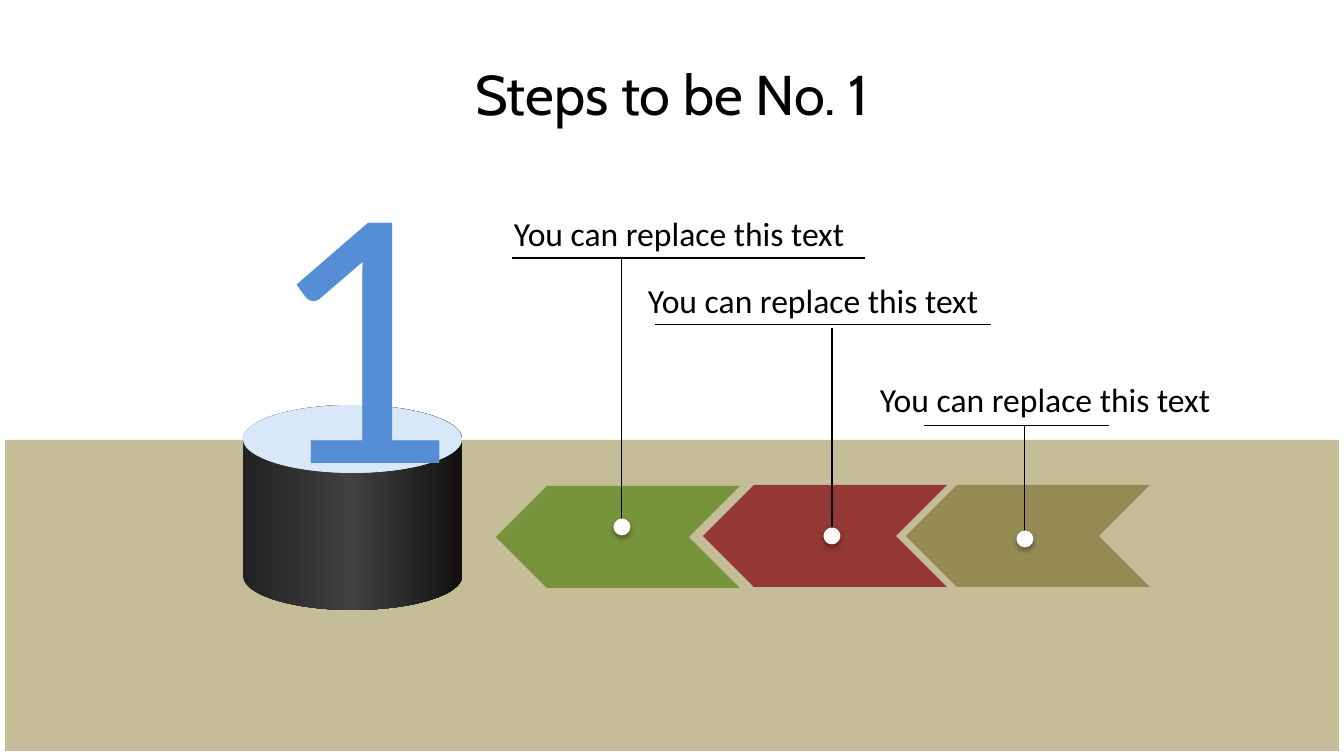
import copy
import pptx
import pptx.util
import pptx.dml.color
import pptx.enum.shapes
import pptx.enum.text
import pptx.oxml
import pptx.oxml.ns

# Content, lengths in px
WIDTH, HEIGHT = 1344, 756
COLORS = {
    "floor": "C4BD97", "khaki": "948A54", "red": "953735", "green": "77933C",
    "digit": "558ED5", "top": "D9E8F8", "black": "000000", "white": "FFFFFF",
}
TITLE = "Steps to be No. 1"
DIGIT = "1"
DRUM = (243, 405, 219, 205)
DRUM_TOP_HEIGHT = 68
DRUM_SHADES = [(0, "222222"), (0.5, "404040"), (1, "111111")]
ARROW_SIZE = (244, 102)
ARROWS = [(906, 485, "khaki"), (703, 485, "red"), (496, 486, "green")]
DOT = 17
STEPS = [
    {"text": "You can replace this text", "box": (504, 208, 361, 50),
     "rule": (512, 865, 258), "stem": (622, 258, 527)},
    {"text": "You can replace this text", "box": (638, 275, 353, 50),
     "rule": (655, 991, 325), "stem": (832, 328, 536)},
    {"text": "You can replace this text", "box": (870, 374, 367, 50),
     "rule": (924, 1109, 426), "stem": (1025, 426, 539)},
]
DOT_SHADOW = (
    '<a:effectLst %s><a:outerShdw blurRad="44450" dist="27940" dir="5400000">'
    '<a:srgbClr val="000000"><a:alpha val="32000"/></a:srgbClr>'
    '</a:outerShdw></a:effectLst>' % pptx.oxml.ns.nsdecls("a"))
NO_EFFECT = "<a:effectLst %s/>" % pptx.oxml.ns.nsdecls("a")

SHAPES = pptx.enum.shapes.MSO_SHAPE
ALIGN = pptx.enum.text.PP_ALIGN
ANCHOR = pptx.enum.text.MSO_ANCHOR


def px(*lengths):
    return [round(length * 914400 / 100.8) for length in lengths]


def rgb(value):
    return pptx.dml.color.RGBColor.from_string(value)


def add_shape(page, kind, area, color):
    shape = page.shapes.add_shape(kind, *px(*area))
    shape.shadow.inherit = False
    shape.fill.solid()
    shape.fill.fore_color.rgb = rgb(COLORS[color])
    shape.line.fill.background()
    return shape


def add_text(page, text, area, font, size, color="black", align=ALIGN.LEFT,
             anchor=ANCHOR.TOP, wrap=True):
    box = page.shapes.add_textbox(*px(*area))
    frame = box.text_frame
    frame.word_wrap = wrap
    frame.vertical_anchor = anchor
    frame.text = text
    para = frame.paragraphs[0]
    para.alignment = align
    span = para.runs[0]
    span.font.name = font
    span.font.size = pptx.util.Pt(size)
    span.font.color.rgb = rgb(COLORS[color])


def add_line(page, *ends):
    line = page.shapes.add_connector(
        pptx.enum.shapes.MSO_CONNECTOR.STRAIGHT, *px(*ends))
    line.line.color.rgb = rgb(COLORS["black"])
    line.line.width = pptx.util.Pt(0.75)
    line._element.spPr.append(pptx.oxml.parse_xml(NO_EFFECT))


def add_drum(page):
    left, top, width, height = DRUM
    body = add_shape(page, SHAPES.CAN, DRUM, "black")
    body.adjustments[0] = round(DRUM_TOP_HEIGHT / height, 2)
    body.fill.gradient()
    body.fill.gradient_angle = 0
    stops = body._element.spPr.find(".//" + pptx.oxml.ns.qn("a:gsLst"))
    stops.append(copy.deepcopy(stops[-1]))
    for stop, (position, shade) in zip(body.fill.gradient_stops, DRUM_SHADES):
        stop.position = position
        stop.color.rgb = rgb(shade)
    add_shape(page, SHAPES.OVAL, (left, top, width, DRUM_TOP_HEIGHT), "top")


def add_step(page, step):
    add_text(page, step["text"], step["box"], "Calibri", 24)
    start, end, level = step["rule"]
    add_line(page, start, level, end, level)
    center, top, bottom = step["stem"]
    add_line(page, center, top, center, bottom)
    dot = add_shape(page, SHAPES.OVAL,
                    (center - DOT / 2, bottom - DOT / 2, DOT, DOT), "white")
    properties = dot._element.spPr
    properties.remove(properties.find(pptx.oxml.ns.qn("a:effectLst")))
    properties.append(pptx.oxml.parse_xml(DOT_SHADOW))


def main():
    deck = pptx.Presentation()
    deck.slide_width, deck.slide_height = px(WIDTH, HEIGHT)
    page = deck.slides.add_slide(deck.slide_layouts[6])

    # Floor and title
    add_shape(page, SHAPES.RECTANGLE, (5, 440, 1334, 311), "floor")
    add_text(page, TITLE, (67, 30, 1210, 126), "Cabin", 40,
             align=ALIGN.CENTER, anchor=ANCHOR.MIDDLE)

    # Podium with the digit
    add_drum(page)
    add_text(page, DIGIT, (260, 124, 209, 415), "Lato", 239, "digit", wrap=False)

    # Arrows pointing to the podium
    for left, top, color in ARROWS:
        arrow = add_shape(page, SHAPES.CHEVRON, (left, top, *ARROW_SIZE), color)
        arrow._element.spPr.xfrm.set("flipH", "1")

    # Labelled steps
    for step in STEPS:
        add_step(page, step)

    deck.save("out.pptx")


if __name__ == "__main__":
    main()
